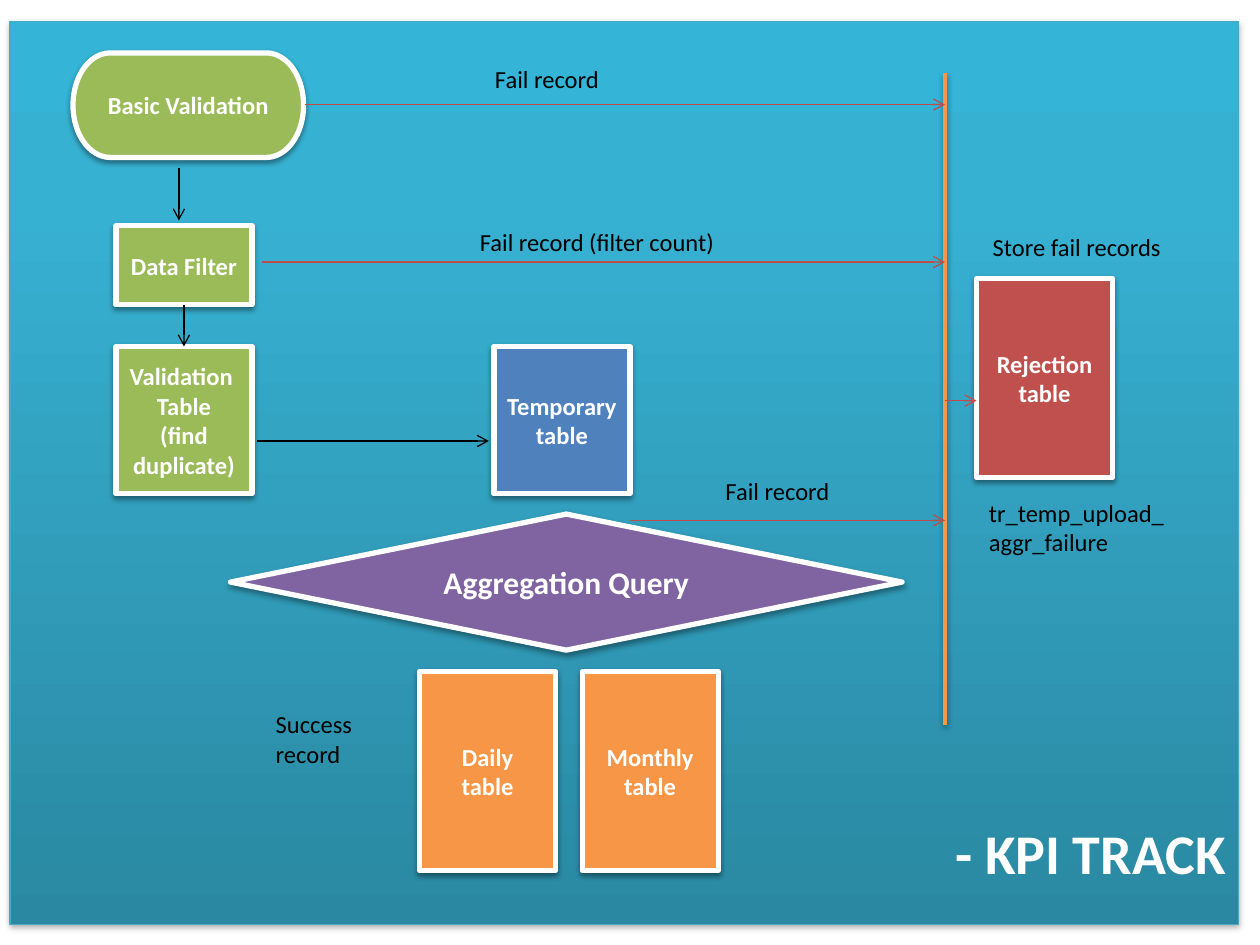
from copy import deepcopy

from lxml import etree
from pptx import Presentation
from pptx.dml.color import RGBColor
from pptx.enum.shapes import MSO_CONNECTOR, MSO_SHAPE
from pptx.enum.text import MSO_ANCHOR, PP_ALIGN
from pptx.oxml.ns import qn
from pptx.util import Inches, Pt

RECT = MSO_SHAPE.RECTANGLE
DIAMOND = MSO_SHAPE.DIAMOND
PROCESS = MSO_SHAPE.FLOWCHART_PROCESS
TERMINATOR = MSO_SHAPE.FLOWCHART_TERMINATOR
CENTER, LEFT, RIGHT = PP_ALIGN.CENTER, PP_ALIGN.LEFT, PP_ALIGN.RIGHT
MIDDLE, TOP, BOTTOM = MSO_ANCHOR.MIDDLE, MSO_ANCHOR.TOP, MSO_ANCHOR.BOTTOM

WHITE, BLACK = "FFFFFF", "000000"
GREEN, ORANGE, RED = "9BBB59", "F79646", "C0504D"
BLUE, PURPLE, FAIL_RED = "4F81BD", "8064A2", "BF4C48"

PANEL = (0.08, 0.17, 9.75, 7.17)
PANEL_STOPS = [(0, "2A88A2"), (0.8, "37B1D2"), (1, "34B4D6")]
TITLE = "- KPI TRACK"

BOX_W, TABLE_H, STEP_H = 1.08, 1.58, 1.17
STEP_X, STEP_Y, RESULT_Y = 0.92, 2.75, 5.33
BAR_X = 7.5

# preset, (left, top, width, height), fill, text size, paragraphs
NODES = [
    (TERMINATOR, (0.58, 0.42, 1.83, 0.83), GREEN, 14, ["Basic Validation"]),
    (RECT, (STEP_X, 1.79, BOX_W, 0.63), GREEN, 14, ["Data Filter"]),
    (RECT, (STEP_X, STEP_Y, BOX_W, STEP_H), GREEN, 14,
     ["Validation ", "Table", "(find duplicate)"]),
    (RECT, (3.92, STEP_Y, BOX_W, STEP_H), BLUE, 14, ["Temporary ", "table"]),
    (RECT, (7.75, 2.21, BOX_W, TABLE_H), RED, 14, ["Rejection", "table"]),
    (DIAMOND, (1.83, 4.08, 5.33, 1.08), PURPLE, 18, ["Aggregation Query"]),
    (RECT, (3.33, RESULT_Y, BOX_W, TABLE_H), ORANGE, 14, ["Daily", "table"]),
    (RECT, (4.62, RESULT_Y, BOX_W, TABLE_H), ORANGE, 14, ["Monthly", "table"]),
]

# start, end, colour
ARROWS = [
    ((1.42, 1.33), (1.42, 1.75), BLACK),
    ((1.46, 2.42), (1.46, 2.75), BLACK),
    ((2.04, 3.5), (3.88, 3.5), BLACK),
    ((2.42, 0.83), (BAR_X, 0.83), FAIL_RED),
    ((2.08, 2.08), (BAR_X, 2.08), FAIL_RED),
    ((5, 4.13), (BAR_X, 4.13), FAIL_RED),
    ((BAR_X, 3.18), (7.75, 3.18), FAIL_RED),
]

LABELS = [
    ((3.83, 0.46, 1.83, 0.34), "Fail record"),
    ((3.71, 1.75, 2.38, 0.34), "Fail record (filter count)"),
    ((5.66, 3.73, 1.83, 0.34), "Fail record"),
    ((7.78, 1.79, 1.83, 0.34), "Store fail records"),
    ((7.75, 3.9, 1.67, 0.57), "tr_temp_upload_aggr_failure"),
    ((2.09, 5.58, 1.07, 0.57), "Success record"),
]


def rgb(value):
    """Turn a hex string into a colour."""
    return RGBColor.from_string(value)


def add_shadow(effects, distance=1.6, alpha=38):
    """Put a soft downward shadow into an effect list."""
    shadow = etree.SubElement(
        effects, qn("a:outerShdw"), blurRad=str(Pt(3.1)), dist=str(Pt(distance)),
        dir="5400000", rotWithShape="0")
    color = etree.SubElement(shadow, qn("a:srgbClr"), val=BLACK)
    etree.SubElement(color, qn("a:alpha"), val=str(alpha * 1000))


def add_node(slide, preset, box, line, width, **shadow):
    """Add an outlined preset shape with a shadow."""
    sp = slide.shapes.add_shape(preset, *map(Inches, box))
    sp.line.color.rgb = rgb(line)
    sp.line.width = Pt(width)
    sp.shadow.inherit = False
    add_shadow(sp.element.spPr.find(qn("a:effectLst")), **shadow)
    return sp


def set_text(sp, lines, size, color, bold, align, anchor):
    """Write one paragraph per line in one format."""
    tf = sp.text_frame
    tf.word_wrap = True
    tf.vertical_anchor = anchor
    tf.text = "\n".join(lines)
    for p in tf.paragraphs:
        p.alignment = align
        p.font.name = "Calibri"
        p.font.size = Pt(size)
        p.font.bold = bold
        p.font.color.rgb = rgb(color)


def set_gradient(sp, stops):
    """Fill a shape with a gradient that runs from bottom to top."""
    sp.fill.gradient()
    sp.fill.gradient_angle = 90
    gs_list = sp.element.spPr.find(".//" + qn("a:gsLst"))
    while len(gs_list) < len(stops):
        gs_list.append(deepcopy(gs_list[-1]))
    for stop, (position, color) in zip(sp.fill.gradient_stops, stops):
        stop.position = position
        stop.color.rgb = rgb(color)


def add_line(slide, start, end, color, width):
    """Add a straight line; return it with its empty effect list."""
    line = slide.shapes.add_connector(
        MSO_CONNECTOR.STRAIGHT, *map(Inches, start + end))
    line.line.color.rgb = rgb(color)
    line.line.width = Pt(width)
    effects = etree.SubElement(line.element.spPr, qn("a:effectLst"))
    return line, effects


prs = Presentation()
prs.slide_width, prs.slide_height = Inches(10), Inches(7.5)
slide = prs.slides.add_slide(prs.slide_layouts[6])

panel = add_node(slide, PROCESS, PANEL, "46AAC5", 0.75, distance=1.8, alpha=35)
set_gradient(panel, PANEL_STOPS)
set_text(panel, [TITLE], 32, WHITE, True, RIGHT, BOTTOM)
panel.text_frame.margin_bottom = Inches(0.31)

for preset, box, fill, size, lines in NODES:
    sp = add_node(slide, preset, box, WHITE, 3)
    sp.fill.solid()
    sp.fill.fore_color.rgb = rgb(fill)
    set_text(sp, lines, size, WHITE, True, CENTER, MIDDLE)

bar, bar_effects = add_line(slide, (BAR_X, 0.58), (BAR_X, 5.75), ORANGE, 2)
add_shadow(bar_effects)

for start, end, color in ARROWS:
    arrow, _ = add_line(slide, start, end, color, 0.75)
    etree.SubElement(arrow.line._get_or_add_ln(), qn("a:tailEnd"), type="arrow")

for box, text in LABELS:
    label = slide.shapes.add_textbox(*map(Inches, box))
    set_text(label, [text], 14, BLACK, False, LEFT, TOP)

prs.save("out.pptx")
